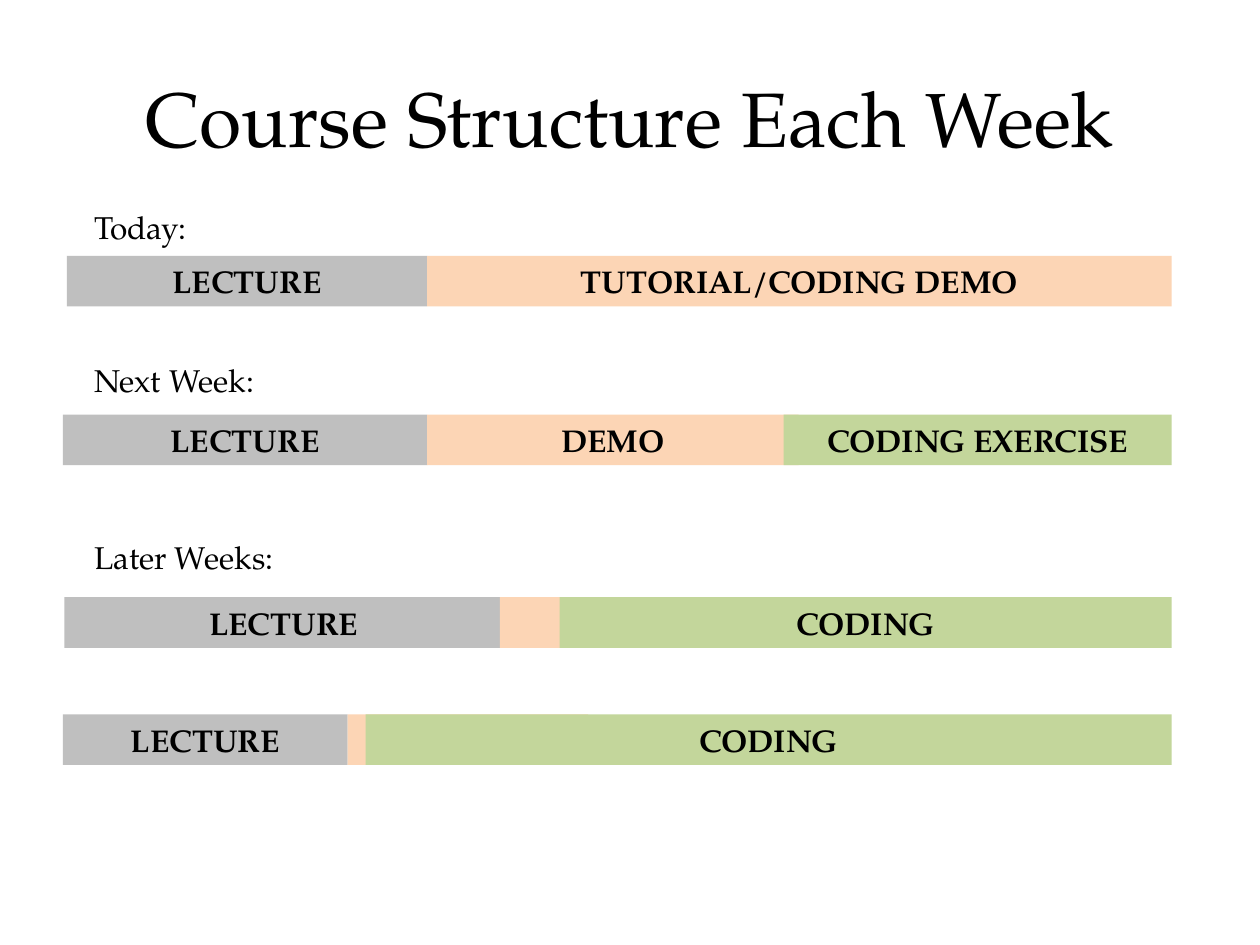
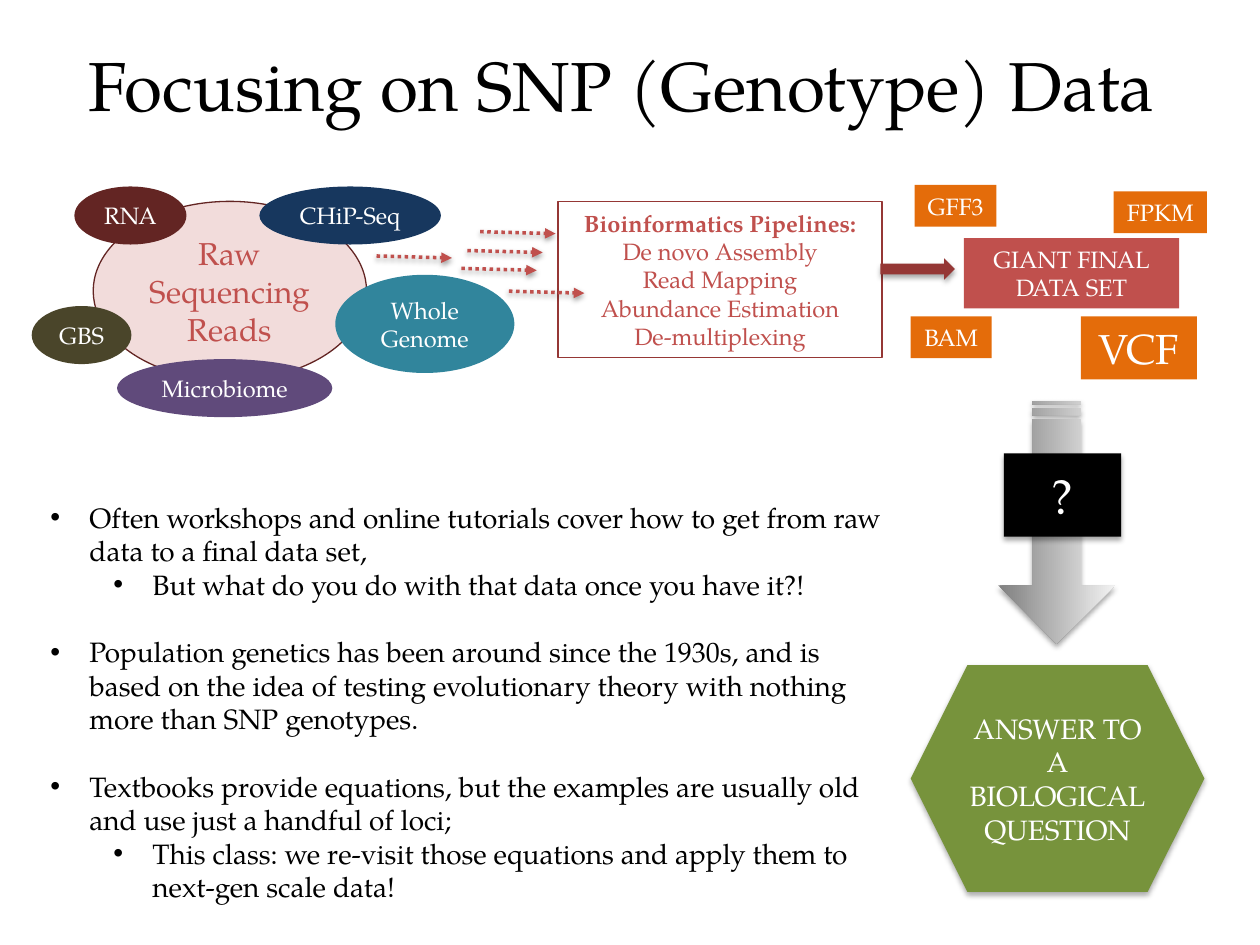
from typing import NamedTuple

from lxml import etree
from pptx import Presentation
from pptx.dml.color import RGBColor
from pptx.enum.dml import MSO_LINE
from pptx.enum.shapes import MSO_CONNECTOR, MSO_SHAPE
from pptx.enum.text import MSO_ANCHOR, MSO_AUTO_SIZE, PP_ALIGN
from pptx.oxml.ns import qn
from pptx.util import Cm, Pt

RECTANGLE = MSO_SHAPE.RECTANGLE
ELLIPSE = MSO_SHAPE.OVAL
RIGHT_ARROW = MSO_SHAPE.RIGHT_ARROW
STRIPED_ARROW = MSO_SHAPE.STRIPED_RIGHT_ARROW
HEXAGON = MSO_SHAPE.HEXAGON
STRAIGHT = MSO_CONNECTOR.STRAIGHT
DOTTED = MSO_LINE.ROUND_DOT
LEFT, CENTER = PP_ALIGN.LEFT, PP_ALIGN.CENTER
TOP, MIDDLE = MSO_ANCHOR.TOP, MSO_ANCHOR.MIDDLE
NO_AUTOFIT = MSO_AUTO_SIZE.NONE

FONT = "TeX Gyre Pagella"
BLACK = RGBColor(0x00, 0x00, 0x00)
WHITE = RGBColor(0xFF, 0xFF, 0xFF)
GRAY = RGBColor(0xBF, 0xBF, 0xBF)
PEACH = RGBColor(0xFC, 0xD5, 0xB5)
LIGHT_GREEN = RGBColor(0xC3, 0xD6, 0x9B)
GREEN = RGBColor(0x77, 0x93, 0x3C)
RED = RGBColor(0xC0, 0x50, 0x4D)
DARK_RED = RGBColor(0x95, 0x37, 0x35)
MAROON = RGBColor(0x63, 0x25, 0x23)
PINK = RGBColor(0xF2, 0xDC, 0xDB)
OLIVE = RGBColor(0x4A, 0x45, 0x2A)
NAVY = RGBColor(0x17, 0x37, 0x5E)
PURPLE = RGBColor(0x60, 0x4A, 0x7B)
TEAL = RGBColor(0x31, 0x85, 0x9C)
ORANGE = RGBColor(0xE4, 0x6C, 0x0A)
ARROW_DARK = RGBColor(0x80, 0x80, 0x80)
ARROW_LIGHT = RGBColor(0xF2, 0xF2, 0xF2)

BAR_HEIGHT = 1.02
BAR_END = 23.62
LABEL_LEFT = 1.65
DOTTED_RUN = 1.52
DOTTED_DROP = 0.04
BULLET_HANG = 0.79
BULLET_STEP = 1.27


class Box(NamedTuple):
    """Left, top, width and height in centimetres."""
    left: float
    top: float
    width: float
    height: float

    def lengths(self) -> list:
        return [Cm(value) for value in self]


class Segment(NamedTuple):
    """Part of a bar; overlap is how far it runs under the next part."""
    text: str
    left: float
    color: RGBColor
    overlap: float = 0


class Bar(NamedTuple):
    top: float
    segments: list[Segment]


class Label(NamedTuple):
    text: str
    top: float
    width: float


class Node(NamedTuple):
    text: str
    box: Box
    color: RGBColor | None
    kind: int = RECTANGLE
    size: float = 13.5
    ink: RGBColor = WHITE
    outline: RGBColor | None = None
    wrap: bool = False
    shadow: bool = False


class Bullet(NamedTuple):
    text: str
    level: int = 0
    gap: float = 0


BARS = [
    Bar(5.16, [Segment("LECTURE", 1.35, GRAY),
               Segment("TUTORIAL/CODING DEMO", 8.61, PEACH)]),
    Bar(8.36, [Segment("LECTURE", 1.27, GRAY),
               Segment("DEMO", 8.61, PEACH, 0.3),
               Segment("CODING EXERCISE", 15.8, LIGHT_GREEN)]),
    Bar(12.04, [Segment("LECTURE", 1.3, GRAY, 0.06),
                Segment("", 10.08, PEACH, 3.65),
                Segment("CODING", 11.28, LIGHT_GREEN)]),
    Bar(14.4, [Segment("LECTURE", 1.27, GRAY),
               Segment("", 7.01, PEACH, 4.49),
               Segment("CODING", 7.37, LIGHT_GREEN)]),
]
LABELS = [Label("Today:", 4.06, 2.49), Label("Next Week:", 7.16, 3.84),
          Label("Later Weeks:", 10.72, 4.19)]

SOURCES = [
    Node("Raw Sequencing Reads", Box(1.88, 4.06, 5.51, 3.61), PINK, ELLIPSE,
         18, RED, MAROON, wrap=True),
    Node("GBS", Box(0.64, 6.17, 2.01, 1.17), OLIVE, ELLIPSE),
    Node("RNA", Box(1.5, 3.76, 2.26, 1.17), MAROON, ELLIPSE),
    Node("CHiP-Seq", Box(5.23, 3.76, 3.66, 1.17), NAVY, ELLIPSE),
    Node("Microbiome", Box(2.36, 7.24, 4.34, 1.17), PURPLE, ELLIPSE),
    Node("Whole Genome", Box(6.76, 5.54, 3.61, 1.98), TEAL, ELLIPSE, wrap=True),
]
RESULTS = [
    Node("GIANT FINAL DATA SET", Box(19.43, 4.8, 4.34, 1.42), RED, wrap=True),
    Node("BAM", Box(18.36, 6.38, 1.63, 0.84), ORANGE),
    Node("VCF", Box(21.79, 6.38, 2.34, 1.27), ORANGE, size=24),
    Node("FPKM", Box(22.45, 3.86, 1.88, 0.84), ORANGE),
    Node("GFF3", Box(18.44, 3.73, 1.65, 0.84), ORANGE),
    Node("", Box(17.75, 5.21, 1.5, 0.43), DARK_RED, RIGHT_ARROW, shadow=True),
    Node("ANSWER TO A BIOLOGICAL QUESTION", Box(18.36, 13.41, 5.92, 4.57),
         GREEN, HEXAGON, 16, wrap=True, shadow=True),
]
QUESTION = Node("?", Box(20.24, 9.14, 2.36, 1.68), BLACK, size=28, shadow=True)
PIPELINE_BOX = Box(11.25, 4.06, 6.53, 3.15)
PIPELINE_STEPS = ["De novo Assembly", "Read Mapping", "Abundance Estimation",
                  "De-multiplexing"]
DOTTED_STARTS = [(9.68, 4.67), (9.42, 5.05), (9.3, 5.41), (10.26, 5.87),
                 (7.59, 5.16)]
BULLETS = [
    Bullet("Often workshops and online tutorials cover how to get from raw "
           "data to a final data set,"),
    Bullet("But what do you do with that data once you have it?!", level=1),
    Bullet("Population genetics has been around since the 1930s, and is based "
           "on the idea of testing evolutionary theory with nothing more than "
           "SNP genotypes.", gap=19.2),
    Bullet("Textbooks provide equations, but the examples are usually old and "
           "use just a handful of loci;", gap=19.2),
    Bullet("This class: we re-visit those equations and apply them to next-gen "
           "scale data!", level=1),
]


def write(para, text: str, *, size: float = 18, color: RGBColor = BLACK,
          bold: bool = False, align: int = CENTER) -> None:
    para.alignment = align
    span = para.add_run()
    span.text = text
    span.font.name = FONT
    span.font.size = Pt(size)
    span.font.bold = bold
    span.font.color.rgb = color


def add_shadow(shape, opacity: int = 35, distance: float = 1.8) -> None:
    effects = etree.SubElement(shape._element.spPr, qn("a:effectLst"))
    outer = etree.SubElement(effects, qn("a:outerShdw"), blurRad=str(Pt(3.1)),
                             dist=str(Pt(distance)), dir="5400000", rotWithShape="0")
    color = etree.SubElement(outer, qn("a:srgbClr"), val=str(BLACK))
    etree.SubElement(color, qn("a:alpha"), val=str(opacity * 1000))


def place(shape, box: Box) -> None:
    shape.left, shape.top, shape.width, shape.height = box.lengths()


def add_title(page, text: str, box: Box, size: float) -> None:
    title = page.shapes.title
    place(title, box)
    title.text_frame.auto_size = NO_AUTOFIT
    title.text_frame.vertical_anchor = MIDDLE
    write(title.text_frame.paragraphs[0], text, size=size)


def add_node(page, node: Node, bold: bool = False):
    shape = page.shapes.add_shape(node.kind, *node.box.lengths())
    if node.color is None:
        shape.fill.background()
    else:
        shape.fill.solid()
        shape.fill.fore_color.rgb = node.color
    if node.outline is None:
        shape.line.fill.background()
    else:
        shape.line.color.rgb = node.outline
        shape.line.width = Pt(0.75)
    if node.shadow:
        add_shadow(shape)
    else:
        shape.shadow.inherit = False
    shape.text_frame.word_wrap = node.wrap
    shape.text_frame.vertical_anchor = MIDDLE
    if node.text:
        write(shape.text_frame.paragraphs[0], node.text, size=node.size,
              color=node.ink, bold=bold)
    return shape


def add_bar(page, bar: Bar) -> None:
    ends = [segment.left for segment in bar.segments[1:]] + [BAR_END]
    for segment, end in zip(bar.segments, ends):
        width = end - segment.left + segment.overlap
        box = Box(segment.left, bar.top, width, BAR_HEIGHT)
        add_node(page, Node(segment.text, box, segment.color, size=18,
                            ink=BLACK, wrap=True), bold=True)


def add_label(page, label: Label) -> None:
    box = Box(LABEL_LEFT, label.top, label.width, BAR_HEIGHT)
    frame = page.shapes.add_textbox(*box.lengths()).text_frame
    frame.word_wrap = False
    write(frame.paragraphs[0], label.text, align=LEFT)


def add_pipelines(page) -> None:
    heading = Node("Bioinformatics Pipelines:", PIPELINE_BOX, None, ink=RED,
                   outline=DARK_RED, wrap=True)
    frame = add_node(page, heading, bold=True).text_frame
    for step in PIPELINE_STEPS:
        write(frame.add_paragraph(), step, size=13.5, color=RED)


def add_dotted_arrow(page, left: float, top: float) -> None:
    arrow = page.shapes.add_connector(STRAIGHT, Cm(left), Cm(top),
                                      Cm(left + DOTTED_RUN), Cm(top + DOTTED_DROP))
    arrow.line.color.rgb = RED
    arrow.line.width = Pt(2)
    arrow.line.dash_style = DOTTED
    etree.SubElement(arrow.line._get_or_add_ln(), qn("a:tailEnd"), type="triangle")
    add_shadow(arrow, opacity=38, distance=1.6)


def add_striped_arrow(page) -> None:
    """Draw the downward arrow, shaded across its width."""
    arrow = add_node(page, Node("", Box(18.85, 9.35, 4.9, 2.36), GRAY,
                                STRIPED_ARROW, shadow=True))
    arrow.rotation = 90
    arrow.adjustments[0] = 0.415
    arrow.fill.gradient()
    arrow.fill.gradient_angle = 0
    stops = zip(arrow.fill.gradient_stops, (0, 1), (ARROW_DARK, ARROW_LIGHT))
    for stop, position, color in stops:
        stop.position = position
        stop.color.rgb = color
    arrow._element.spPr.find(qn("a:gradFill")).set("rotWithShape", "0")


def add_bullets(page) -> None:
    body = page.placeholders[1]
    place(body, Box(0.76, 9.96, 17.35, 8.46))
    frame = body.text_frame
    frame.auto_size = NO_AUTOFIT
    frame.vertical_anchor = TOP
    for index, bullet in enumerate(BULLETS):
        para = frame.add_paragraph() if index else frame.paragraphs[0]
        para.level = bullet.level
        para.space_before = Pt(bullet.gap)
        write(para, bullet.text, size=16, align=LEFT)
        properties = para._p.get_or_add_pPr()
        properties.set("marL", str(Cm(BULLET_HANG + BULLET_STEP * bullet.level)))
        properties.set("indent", str(-Cm(BULLET_HANG)))
        etree.SubElement(properties, qn("a:buChar"), char="•")


def build_course_structure(deck) -> None:
    page = deck.slides.add_slide(deck.slide_layouts[5])
    add_title(page, "Course Structure Each Week", Box(1.27, 0.76, 22.86, 3.18), 44)
    for bar in BARS:
        add_bar(page, bar)
    for label in LABELS:
        add_label(page, label)


def build_genotype_data(deck) -> None:
    page = deck.slides.add_slide(deck.slide_layouts[1])
    add_title(page, "Focusing on SNP (Genotype) Data ",
              Box(1.27, 0.36, 22.86, 2.64), 39.6)
    add_pipelines(page)
    for node in SOURCES + RESULTS:
        add_node(page, node)
    for left, top in DOTTED_STARTS:
        add_dotted_arrow(page, left, top)
    add_striped_arrow(page)
    add_node(page, QUESTION)
    add_bullets(page)


def main() -> None:
    deck = Presentation()
    deck.slide_width, deck.slide_height = Cm(25.4), Cm(19.05)
    build_course_structure(deck)
    build_genotype_data(deck)
    deck.save("out.pptx")


if __name__ == "__main__":
    main()
